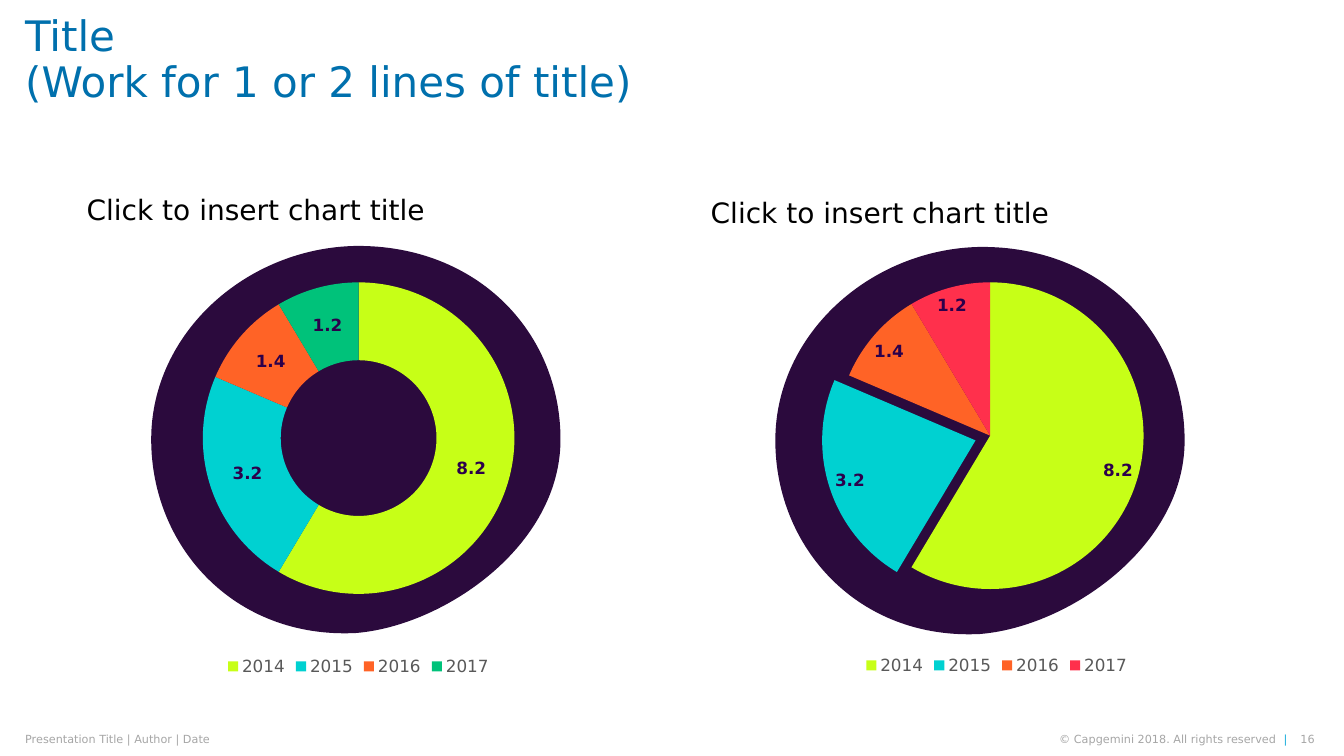
from dataclasses import dataclass

from lxml import etree
from pptx import Presentation
from pptx.chart.data import CategoryChartData
from pptx.dml.color import RGBColor
from pptx.enum.chart import XL_CHART_TYPE as ChartType
from pptx.enum.chart import XL_LABEL_POSITION as LabelPosition
from pptx.enum.chart import XL_LEGEND_POSITION as LegendPosition
from pptx.enum.text import MSO_ANCHOR as Anchor
from pptx.enum.text import PP_ALIGN as Align
from pptx.oxml.ns import qn
from pptx.util import Inches, Pt


@dataclass(frozen=True)
class Theme:
    font: str = "DejaVu Sans"
    blue: str = "0070AD"
    sky: str = "12ABDB"
    gray: str = "A6A6A6"
    black: str = "000000"
    legend: str = "595959"
    label: str = "2C004B"
    plum: str = "2B0A3D"
    lime: str = "C7FF17"
    cyan: str = "00D1D1"
    orange: str = "FF6326"
    green: str = "00C27A"
    red: str = "FF304C"
    title_size: int = 30
    heading_size: int = 20
    label_size: int = 12
    chart_size: int = 10
    footer_size: int = 8


theme = Theme()


def style_font(font, size, color, bold=False):
    font.name = theme.font
    font.size = Pt(size)
    font.bold = bold
    font.color.rgb = RGBColor.from_string(color)


def add_text(page, area, lines, size, align=Align.LEFT, anchor=Anchor.MIDDLE,
             insets=(0, 0), spacing=1.0):
    box = page.shapes.add_textbox(*map(Inches, area))
    frame = box.text_frame
    frame.word_wrap = True
    frame.vertical_anchor = anchor
    frame.margin_left = frame.margin_right = Inches(insets[0])
    frame.margin_top = frame.margin_bottom = Inches(insets[1])
    para = frame.paragraphs[0]
    para.alignment = align
    para.line_spacing = spacing
    for index, spans in enumerate(lines):
        if index:
            para.add_line_break()
        for text, color in spans:
            span = para.add_run()
            span.text = text
            style_font(span.font, size, color)


deck = Presentation()
deck.slide_width = Inches(13.33)
deck.slide_height = Inches(7.5)
page = deck.slides.add_slide(deck.slide_layouts[6])

add_text(page, (12.85, 7.27, 0.19, 0.13), [[("16", theme.gray)]],
         theme.footer_size, Align.RIGHT)
add_text(page, (9.86, 7.27, 2.91, 0.13),
         [[("© Capgemini 2018. All rights reserved  ", theme.gray), ("|", theme.sky)]],
         theme.footer_size, Align.RIGHT)
add_text(page, (0.25, 7.27, 5.16, 0.13),
         [[("Presentation Title | Author | Date", theme.gray)]], theme.footer_size)

blob_start = (0, 1.92)
blob_curves = [
    ((0, 0.86), (0.95, 0.02), (2.03, 0)),
    ((3.24, -0.01), (4.06, 0.86), (4.06, 1.92)),
    ((4.06, 2.98), (2.9, 3.77), (2.03, 3.84)),
    ((0.82, 3.9), (0, 2.98), blob_start),
]
for left, top in ((7.69, 2.45), (1.5, 2.44)):
    anchors = [(Inches(left + x), Inches(top + y))
               for x, y in [blob_start] + [curve[-1] for curve in blob_curves]]
    builder = page.shapes.build_freeform(*anchors[0])
    builder.add_line_segments(anchors[1:], close=True)
    blob = builder.convert_to_shape()
    for segment, curve in zip(blob.element.xpath(".//a:lnTo"), blob_curves):
        bezier = etree.Element(qn("a:cubicBezTo"))
        for x, y in curve:
            etree.SubElement(bezier, qn("a:pt"), x=str(Inches(x)), y=str(Inches(y)))
        segment.getparent().replace(segment, bezier)
    blob.shadow.inherit = False
    blob.fill.solid()
    blob.fill.fore_color.rgb = RGBColor.from_string(theme.plum)
    blob.line.fill.background()

add_text(page, (0.25, 0, 12.17, 1.21),
         [[("Title", theme.blue)], [("(Work for 1 or 2 lines of title)", theme.blue)]],
         theme.title_size, spacing=0.9)

years = ["2014", "2015", "2016", "2017"]
values = [8.2, 3.2, 1.4, 1.2]
shared_colors = [theme.lime, theme.cyan, theme.orange]
panels = [
    dict(kind=ChartType.DOUGHNUT, heading=(0.76, 1.9, 5.59, 0.43),
         area=(0.76, 2.65, 5.59, 4.1), plot=(0.224, 0.037, 0.553, 0.754), last=theme.green),
    dict(kind=ChartType.PIE, heading=(6.95, 1.93, 5.59, 0.43),
         area=(7.09, 2.65, 5.59, 4.09), plot=(0.216, 0.037, 0.545, 0.744), last=theme.red),
]

for panel in panels:
    add_text(page, panel["heading"], [[("Click to insert chart title", theme.black)]],
             theme.heading_size, anchor=Anchor.TOP, insets=(0.1, 0.05), spacing=0.9)

    data = CategoryChartData()
    data.categories = years
    data.add_series("Series 1", values)
    chart = page.shapes.add_chart(panel["kind"], *map(Inches, panel["area"]), data).chart
    chart.has_title = False
    style_font(chart.font, theme.chart_size, theme.black)
    chart.has_legend = True
    chart.legend.position = LegendPosition.BOTTOM
    chart.legend.include_in_layout = False
    style_font(chart.legend.font, theme.label_size, theme.legend)

    series = chart.plots[0].series[0]
    for index, color in enumerate(shared_colors + [panel["last"]]):
        fill = series.points[index].format.fill
        fill.solid()
        fill.fore_color.rgb = RGBColor.from_string(color)
    labels = series.data_labels
    labels.show_value = True
    labels.show_percentage = False
    style_font(labels.font, theme.label_size, theme.label, True)

    if panel["kind"] == ChartType.PIE:
        labels.position = LabelPosition.BEST_FIT
        slice_format = chart.element.xpath(".//c:dPt[c:idx/@val='1']/c:spPr")[0]
        slice_format.addprevious(etree.Element(qn("c:explosion"), val="10"))
    else:
        chart.element.xpath(".//c:holeSize")[0].set("val", "66")

    plot_area = chart.element.xpath(".//c:plotArea")[0]
    for old_layout in plot_area.findall(qn("c:layout")):
        plot_area.remove(old_layout)
    layout = etree.Element(qn("c:layout"))
    manual = etree.SubElement(layout, qn("c:manualLayout"))
    settings = [("layoutTarget", "inner"), ("xMode", "edge"), ("yMode", "edge")]
    settings += zip("xywh", panel["plot"])
    for name, value in settings:
        etree.SubElement(manual, qn("c:" + name), val=str(value))
    plot_area.insert(0, layout)

deck.save("out.pptx")
